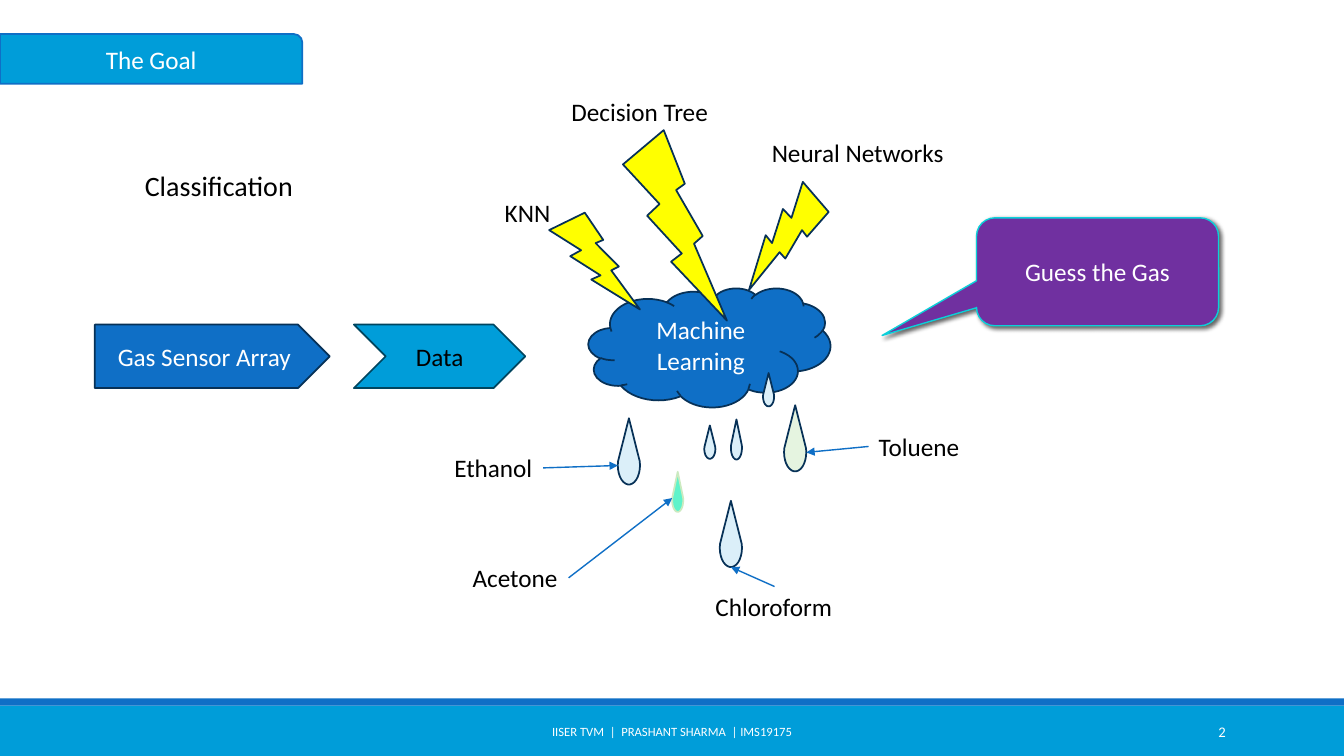
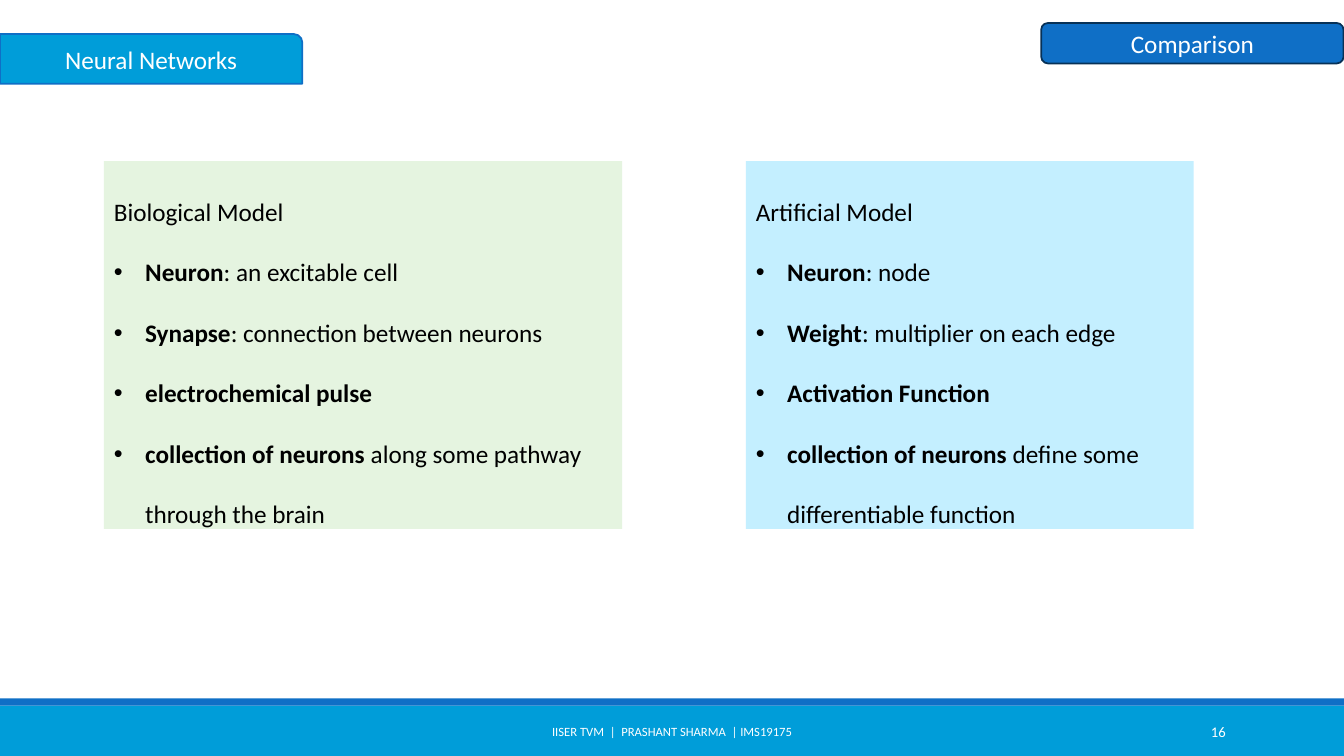
from math import cos, radians, sin

from lxml.etree import SubElement
from pptx import Presentation
from pptx.dml.color import RGBColor
from pptx.enum.shapes import MSO_CONNECTOR, MSO_SHAPE
from pptx.enum.text import MSO_ANCHOR, MSO_AUTO_SIZE, PP_ALIGN
from pptx.oxml.ns import qn
from pptx.util import Cm, Pt

HUES = {
    "white": "FFFFFF", "black": "000000", "blue": "0F6FC6", "sky": "009DD9",
    "navy": "073157", "teal": "00455F", "aqua": "0BD0D9", "purple": "7030A0",
    "yellow": "FFFF00", "ice": "DBEFF9", "mint": "E5F4E0", "jade": "5FF3CA",
    "leaf": "CBEAC0", "pale": "C4EFFF",
}
FONT = "Calibri"
WIDE, HIGH = 33.87, 19.05
TAB = (0, 0.86, 7.62, 1.25)
FRAME = {"word_wrap": True, "auto_size": MSO_AUTO_SIZE.NONE,
         "vertical_anchor": MSO_ANCHOR.MIDDLE}
LABEL = {"word_wrap": False, "vertical_anchor": MSO_ANCHOR.TOP}
PANEL = {"vertical_anchor": MSO_ANCHOR.TOP}


def hue(name):
    return RGBColor.from_string(HUES[name])


def lengths(box):
    return [Cm(side) for side in box]


def assign(target, values):
    for key, value in values.items():
        setattr(target, key, value)


# Text
def add_run(para, text, size=18, color="black", bold=False):
    run = para.add_run()
    run.text = text
    assign(run.font, {"name": FONT, "size": Pt(size), "bold": bold})
    run.font.color.rgb = hue(color)


def write(shape, text, size=18, color="white", align=PP_ALIGN.CENTER, form=None):
    frame = shape.text_frame
    assign(frame, FRAME | (form or {}))
    para = frame.paragraphs[0]
    para.alignment = align
    add_run(para, text, size, color)


def add_text(slide, box, text, **style):
    shape = slide.shapes.add_textbox(*lengths(box))
    write(shape, text, **style)
    return shape


def add_label(slide, box, text, size=18):
    return add_text(slide, box, text, size=size, color="black",
                    align=PP_ALIGN.LEFT, form=LABEL)


# Shapes
def paint(shape, fill, line=None, width=1.25):
    shape.shadow.inherit = False
    shape.fill.solid()
    shape.fill.fore_color.rgb = hue(fill)
    if line:
        shape.line.color.rgb = hue(line)
        shape.line.width = Pt(width)
    else:
        shape.line.fill.background()


def add_block(slide, kind, box, fill, line=None, width=1.25, text="", color="white"):
    shape = slide.shapes.add_shape(kind, *lengths(box))
    paint(shape, fill, line, width)
    if text:
        write(shape, text, color=color)
    return shape


def add_drop(slide, left, top, wide, high, fill, line="navy"):
    arc = [radians(turn) for turn in range(-12, 193, 12)]
    points = [(Cm(left + wide * (0.5 + 0.5 * cos(a))),
               Cm(top + high * (0.71 + 0.29 * sin(a)))) for a in arc]
    path = slide.shapes.build_freeform(Cm(left + wide / 2), Cm(top))
    path.add_line_segments(points, close=True)
    paint(path.convert_to_shape(), fill, line)


def add_arrow(slide, label, side, end):
    arrow = slide.shapes.add_connector(MSO_CONNECTOR.STRAIGHT, 0, 0, *lengths(end))
    arrow.begin_connect(label, side)
    arrow.line.color.rgb = hue("blue")
    arrow.line.width = Pt(1)
    SubElement(arrow.line._get_or_add_ln(), qn("a:tailEnd"), type="triangle")
    SubElement(arrow.element.spPr, qn("a:effectLst"))


def cast_shadow(shape):
    effects = shape.element.spPr.find(qn("a:effectLst"))
    outer = SubElement(effects, qn("a:outerShdw"), blurRad=str(Pt(3)),
                       dist=str(Pt(2)), dir=str(45 * 60000), rotWithShape="0")
    color = SubElement(outer, qn("a:srgbClr"), val=HUES["black"])
    SubElement(color, qn("a:alpha"), val="60000")


def add_panel(slide, box, fill, head, items):
    shape = add_block(slide, MSO_SHAPE.RECTANGLE, box, fill)
    write(shape, head, color="black", align=PP_ALIGN.LEFT, form=PANEL)
    frame = shape.text_frame
    for term, rest in items:
        para = frame.add_paragraph()
        para.alignment = PP_ALIGN.LEFT
        add_run(para, term, bold=True)
        if rest:
            add_run(para, rest)
        props = para._p.get_or_add_pPr()
        props.set("marL", str(Cm(0.79)))
        props.set("indent", str(-Cm(0.79)))
        SubElement(props, qn("a:buFont"), typeface="Arial")
        SubElement(props, qn("a:buChar"), char="•")
    for para in frame.paragraphs:
        para.line_spacing = 2.0


# Shared parts
def dress_layout(layout, slide):
    """Place the bands, title tab and footer on the layout."""
    for holder in list(layout.placeholders):
        if holder.placeholder_format.idx:
            holder.element.getparent().remove(holder.element)
    parts = [
        add_block(slide, MSO_SHAPE.RECTANGLE, (0, 17.78, WIDE, 1.27), "sky"),
        add_block(slide, MSO_SHAPE.RECTANGLE, (0, 17.6, WIDE, 0.18), "blue"),
        add_block(slide, MSO_SHAPE.ROUND_1_RECTANGLE, TAB, "sky", "blue"),
        add_text(slide, (10.24, 17.93, 13.39, 1.02),
                 "IISER TVM  |  PRASHANT SHARMA  | IMS19175", size=9),
    ]
    for part in parts:
        layout.shapes.element.append(part.element)


def set_heads(slide, title, number):
    holder = slide.shapes.title
    assign(holder, dict(zip(("left", "top", "width", "height"), lengths(TAB))))
    write(holder, title)
    add_text(slide, (27.51, 17.93, 3.63, 1.02), number, size=10.5,
             align=PP_ALIGN.RIGHT)


# Slides
def draw_goal(slide):
    set_heads(slide, "The Goal", "2")
    add_label(slide, (3.4, 4.11, 4.29, 1.12), "Classification", size=20)

    # Flow into the cloud
    add_block(slide, MSO_SHAPE.PENTAGON, (2.39, 8.18, 5.92, 1.6), "blue", "navy",
              text="Gas Sensor Array")
    add_block(slide, MSO_SHAPE.CHEVRON, (8.92, 8.18, 4.32, 1.6), "sky", "teal",
              text="Data", color="black")
    guess = add_block(slide, MSO_SHAPE.ROUNDED_RECTANGULAR_CALLOUT,
                      (24.61, 5.49, 6.1, 2.72), "purple", "aqua", 1, "Guess the Gas")
    for spot, value in enumerate((-0.89, 0.59, 0.17)):
        guess.adjustments[spot] = value
    cast_shadow(guess)
    add_block(slide, MSO_SHAPE.CLOUD, (14.83, 7.26, 6.1, 3), "blue", "navy",
              text="Machine Learning")

    # Methods
    bolts = [
        ((13.84, 5.36, 2.29, 2.44), 0, "KNN", (12.47, 4.85, 1.68, 1.02)),
        ((15.7, 3.28, 2.62, 4.8), 0, "Decision Tree", (14.15, 2.31, 3.99, 1.02)),
        ((18.62, 4.67, 2.29, 2.44), 75.3, "Neural Networks", (19.2, 3.33, 4.88, 1.02)),
    ]
    for box, turn, name, place in bolts:
        bolt = add_block(slide, MSO_SHAPE.LIGHTNING_BOLT, box, "yellow", "navy")
        bolt.rotation = turn
        add_label(slide, place, name)

    # Drops
    for left, top, fill in ((15.57, 10.54, "ice"), (19.76, 10.21, "mint"),
                            (18.14, 12.62, "ice")):
        add_drop(slide, left, top, 0.56, 1.67, fill)
    add_drop(slide, 16.94, 11.89, 0.28, 1.01, "jade", "leaf")
    for left, top, high in ((18.42, 10.57, 1.01), (17.75, 10.72, 0.84),
                            (19.23, 9.4, 0.84)):
        add_drop(slide, left, top, 0.28, high, "ice")

    # Gases, each with an arrow from one side of its label
    gases = [
        ("Acetone", (11.66, 14.05, 2.67, 1.02), 3, (16.94, 12.55)),
        ("Toluene", (21.89, 10.74, 2.57, 1.02), 1, (20.32, 11.4)),
        ("Chloroform", (17.78, 14.78, 3.48, 1.02), 0, (18.42, 14.29)),
        ("Ethanol", (11.2, 11.28, 2.49, 1.02), 3, (15.57, 11.73)),
    ]
    for name, box, side, end in gases:
        add_arrow(slide, add_label(slide, box, name), side, end)


def draw_models(slide):
    set_heads(slide, "Neural Networks", "16")
    add_block(slide, MSO_SHAPE.ROUNDED_RECTANGLE, (26.24, 0.58, 7.62, 1.02),
              "blue", "navy", text="Comparison")
    add_panel(slide, (2.62, 4.06, 13.06, 9.27), "mint", "Biological Model", [
        ("Neuron", ": an excitable cell"),
        ("Synapse", ": connection between neurons"),
        ("electrochemical pulse", ""),
        ("collection of neurons ", "along some pathway through the brain"),
    ])
    add_panel(slide, (18.8, 4.06, 11.28, 9.27), "pale", "Artificial Model", [
        ("Neuron", ": node"),
        ("Weight", ": multiplier on each edge"),
        ("Activation Function", ""),
        ("collection of neurons ", "define some differentiable function"),
    ])


def main():
    deck = Presentation()
    deck.slide_width, deck.slide_height = lengths((WIDE, HIGH))
    layout = deck.slide_layouts[5]
    goal, models = [deck.slides.add_slide(layout) for _ in range(2)]
    dress_layout(layout, goal)
    draw_goal(goal)
    draw_models(models)
    deck.save("out.pptx")


if __name__ == "__main__":
    main()
